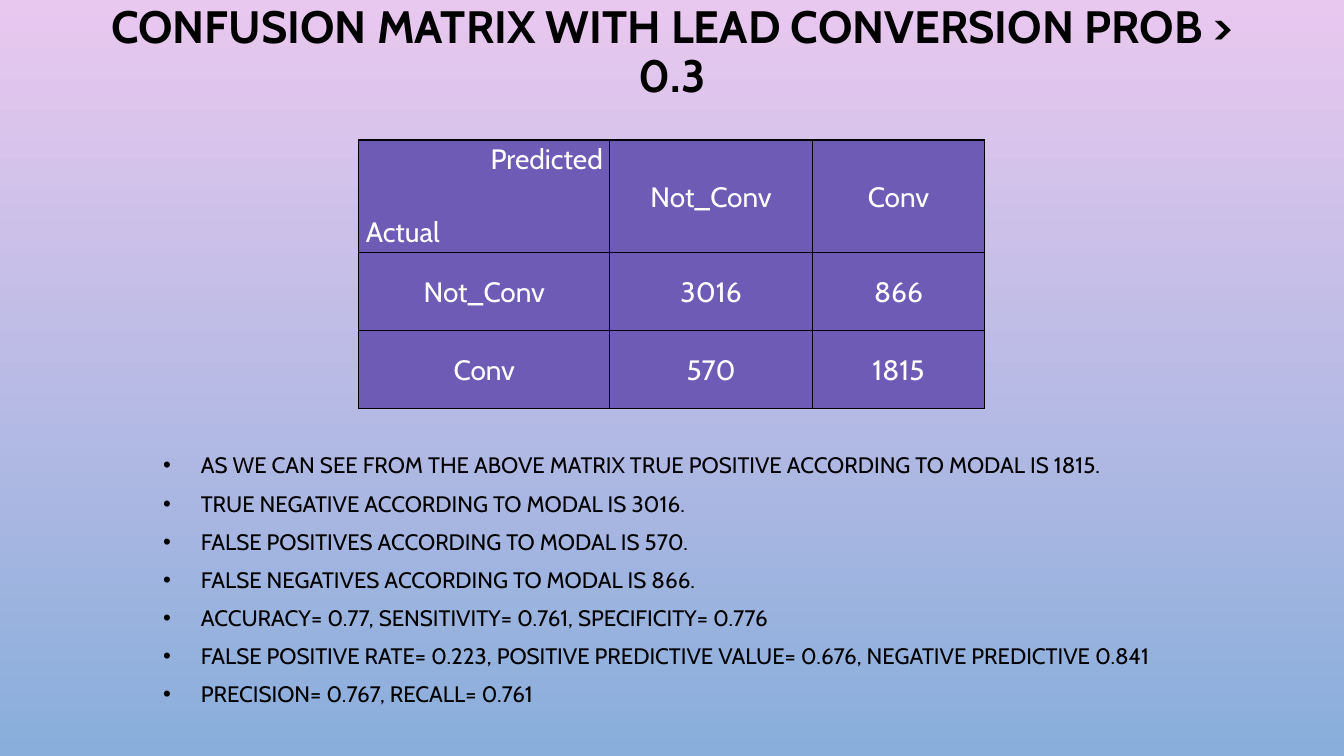
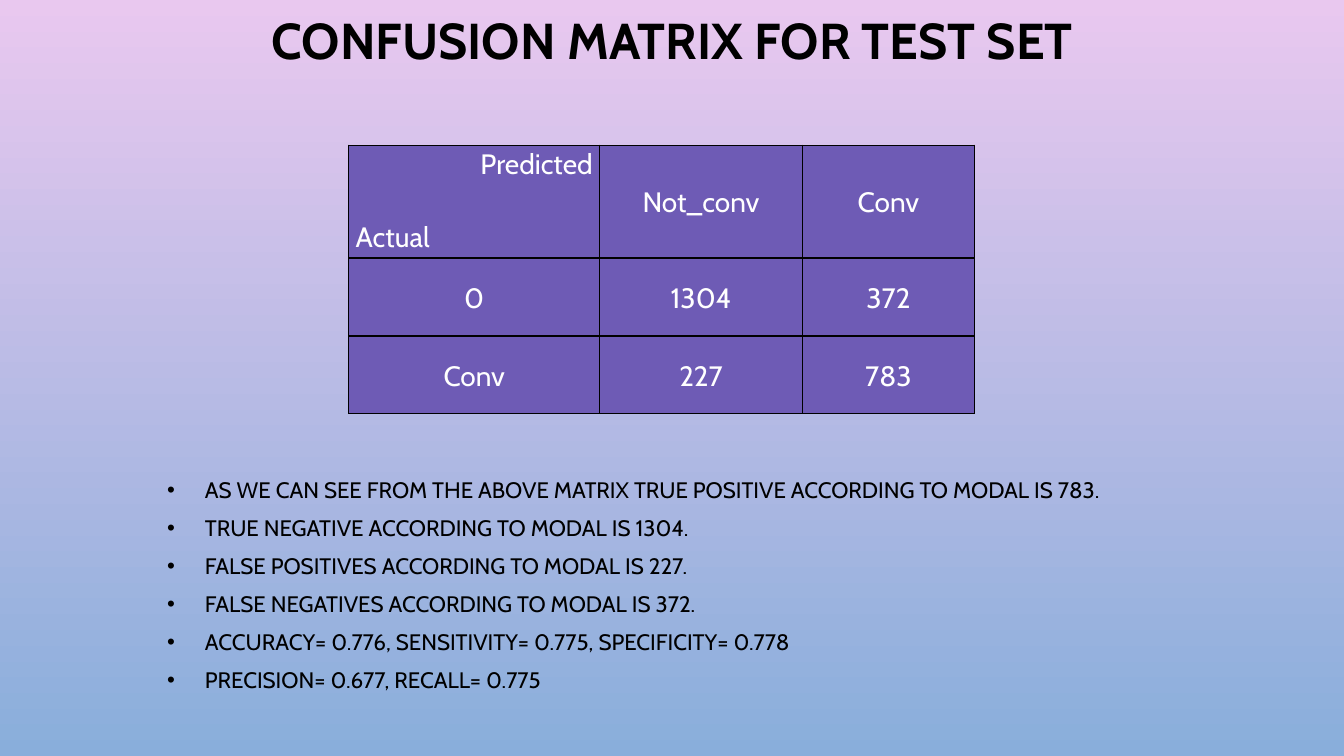
"""Build two confusion matrix slides with a table and bulleted findings."""
from pptx import Presentation
from pptx.dml.color import RGBColor
from pptx.enum import text
from pptx.oxml import parse_xml
from pptx.oxml.ns import nsdecls
from pptx.util import Pt

COLORS = {"sky_top": "E9C8EF", "sky_bottom": "89AEDB", "ink": "000000",
          "cell": "6E5BB5", "cell_text": "FFFFFF"}
FONT = "Cabin"
CENTER, LEFT, RIGHT = text.PP_ALIGN.CENTER, text.PP_ALIGN.LEFT, text.PP_ALIGN.RIGHT
COLUMN_WIDTHS = (179.3, 144.7, 123.1)
ROW_HEIGHTS = (80.6, 55.7, 55.7)
CELL_FORMAT = {"margin_left": Pt(5), "margin_right": Pt(5),
               "margin_top": 0, "margin_bottom": 0}
INDENT = Pt(27)

SLIDES = [
    {"title": ("CONFUSION MATRIX WITH LEAD CONVERSION PROB > 0.3", 76.3, 32.4),
     "matrix_at": (256.3, 100),
     "matrix": [("Not_Conv", "Conv"),
                ("Not_Conv", "3016", "866"),
                ("Conv", "570", "1815")],
     "findings_box": (109.4, 321.1, 720, 207.4),
     "findings": [
         "AS WE CAN SEE FROM THE ABOVE MATRIX TRUE POSITIVE ACCORDING TO MODAL IS 1815.",
         "TRUE NEGATIVE ACCORDING TO MODAL IS 3016.",
         "FALSE POSITIVES ACCORDING TO MODAL IS 570.",
         "FALSE NEGATIVES ACCORDING TO MODAL IS 866.",
         "ACCURACY= 0.77, SENSITIVITY= 0.761, SPECIFICITY= 0.776",
         "FALSE POSITIVE RATE= 0.223, POSITIVE PREDICTIVE VALUE= 0.676, "
         "NEGATIVE PREDICTIVE 0.841",
         "PRECISION= 0.767, RECALL= 0.761"]},
    {"title": ("CONFUSION MATRIX FOR TEST SET", 61.2, 36),
     "matrix_at": (249.1, 103.7),
     "matrix": [("Not_conv", "Conv"),
                ("0", "1304", "372"),
                ("Conv", "227", "783")],
     "findings_box": (112.3, 338.4, 720, 170),
     "findings": [
         "AS WE CAN SEE FROM THE ABOVE MATRIX TRUE POSITIVE ACCORDING TO MODAL IS 783.",
         "TRUE NEGATIVE ACCORDING TO MODAL IS 1304.",
         "FALSE POSITIVES ACCORDING TO MODAL IS 227.",
         "FALSE NEGATIVES ACCORDING TO MODAL IS 372.",
         "ACCURACY= 0.776, SENSITIVITY= 0.775, SPECIFICITY= 0.778",
         "PRECISION= 0.677, RECALL= 0.775"]},
]


def apply(target, values):
    for name, value in values.items():
        setattr(target, name, value)


def write(frame, lines, size, color, spacing, bold=False):
    for number, (wording, layout) in enumerate(lines):
        paragraph = frame.add_paragraph() if number else frame.paragraphs[0]
        apply(paragraph, {"line_spacing": spacing, **layout})
        run = paragraph.add_run()
        run.text = wording
        apply(run.font, {"name": FONT, "size": Pt(size), "bold": bold})
        run.font.color.rgb = RGBColor.from_string(COLORS[color])


def paint_background(master):
    fill = master.background.fill
    fill.gradient()
    fill.gradient_angle = 270
    for stop, position, color in zip(fill.gradient_stops, (0, 1), ("sky_top", "sky_bottom")):
        stop.position = position
        stop.color.rgb = RGBColor.from_string(COLORS[color])


def add_text_frame(slide, box, anchor):
    frame = slide.shapes.add_textbox(*map(Pt, box)).text_frame
    apply(frame, {"word_wrap": True, "vertical_anchor": anchor})
    return frame


def add_title(slide, wording, height, size):
    frame = add_text_frame(slide, (66.2, 0, 828, height), text.MSO_ANCHOR.MIDDLE)
    write(frame, [(wording, {"alignment": CENTER})], size, "ink", 0.9, bold=True)


def style_cell(cell, lines, anchor):
    apply(cell, {**CELL_FORMAT, "vertical_anchor": anchor})
    properties = cell._tc.get_or_add_tcPr()
    for side in "LRTB":
        properties.append(parse_xml(
            f'<a:ln{side} {nsdecls("a")} w="12700"><a:solidFill>'
            f'<a:srgbClr val="{COLORS["ink"]}"/></a:solidFill></a:ln{side}>'))
    cell.fill.solid()
    cell.fill.fore_color.rgb = RGBColor.from_string(COLORS["cell"])
    write(cell.text_frame, lines, 20, "cell_text", 1.07)


def add_matrix(slide, left, top, rows):
    box = (left, top, sum(COLUMN_WIDTHS), sum(ROW_HEIGHTS))
    matrix = slide.shapes.add_table(3, 3, *map(Pt, box)).table
    for column, width in zip(matrix.columns, COLUMN_WIDTHS):
        column.width = Pt(width)
    for row, height in zip(matrix.rows, ROW_HEIGHTS):
        row.height = Pt(height)
    axis_names = [("Predicted", {"alignment": RIGHT}),
                  ("Actual", {"alignment": LEFT, "space_before": Pt(26)})]
    style_cell(matrix.cell(0, 0), axis_names, text.MSO_ANCHOR.TOP)
    for row, values in enumerate(rows):
        for column, value in enumerate(values, start=3 - len(values)):
            style_cell(matrix.cell(row, column), [(value, {"alignment": CENTER})],
                       text.MSO_ANCHOR.MIDDLE)


def add_findings(slide, box, findings):
    frame = add_text_frame(slide, box, text.MSO_ANCHOR.TOP)
    layout = {"alignment": LEFT, "space_before": Pt(10)}
    write(frame, [(finding, layout) for finding in findings], 16, "ink", 0.9)
    for paragraph in frame.paragraphs:
        properties = paragraph._p.get_or_add_pPr()
        properties.set("marL", str(INDENT))
        properties.set("indent", str(-INDENT))
        for bullet in (f'<a:buClr {nsdecls("a")}><a:srgbClr val="{COLORS["ink"]}"/></a:buClr>',
                       f'<a:buFont {nsdecls("a")} typeface="Arial"/>',
                       f'<a:buChar {nsdecls("a")} char="•"/>'):
            properties.append(parse_xml(bullet))


def main():
    deck = Presentation()
    apply(deck, {"slide_width": Pt(960), "slide_height": Pt(540)})
    paint_background(deck.slide_master)
    for content in SLIDES:
        slide = deck.slides.add_slide(deck.slide_layouts[6])
        add_title(slide, *content["title"])
        add_matrix(slide, *content["matrix_at"], content["matrix"])
        add_findings(slide, content["findings_box"], content["findings"])
    deck.save("out.pptx")


if __name__ == "__main__":
    main()
